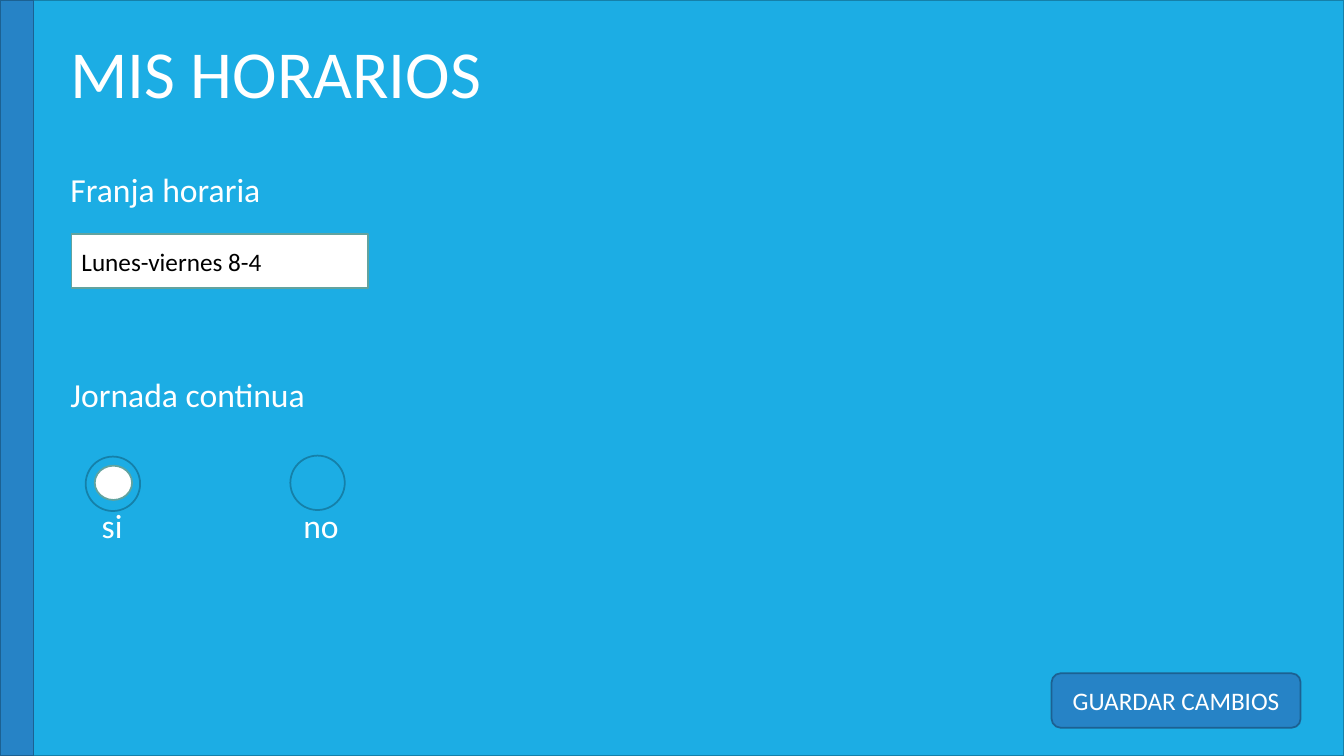
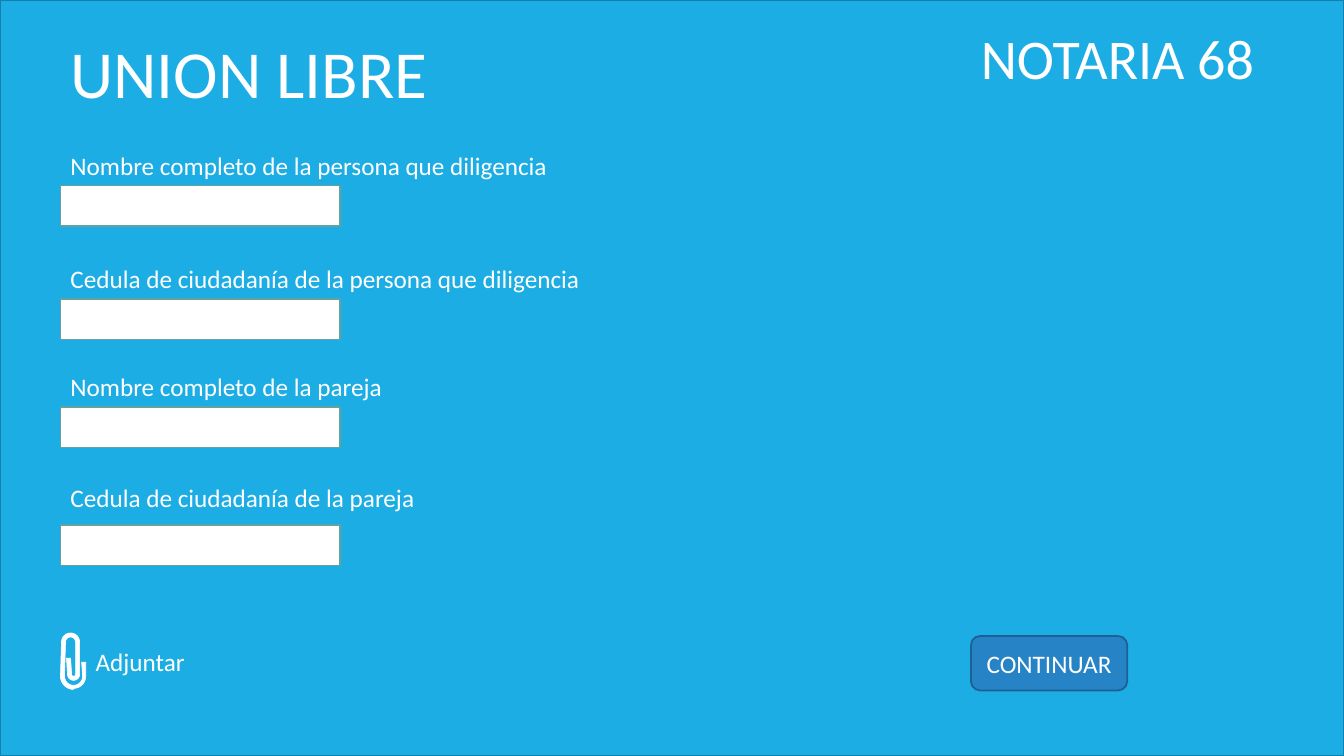
from math import cos, radians, sin
from pptx import Presentation
from pptx.dml.color import RGBColor
from pptx.enum.shapes import MSO_SHAPE
from pptx.enum.text import MSO_ANCHOR, PP_ALIGN
from pptx.util import Inches, Pt

RECT, ROUND, OVAL = MSO_SHAPE.RECTANGLE, MSO_SHAPE.ROUNDED_RECTANGLE, MSO_SHAPE.OVAL
LEFT, CENTER = PP_ALIGN.LEFT, PP_ALIGN.CENTER
TOP, MIDDLE = MSO_ANCHOR.TOP, MSO_ANCHOR.MIDDLE

HOURS = {
    "title": "MIS HORARIOS",
    "slot": ("Franja horaria", "Lunes-viernes 8-4"),
    "shift": "Jornada continua",
    "picks": [("si", 0.85, 4.53, 0.91, 0.41), ("no", 2.88, 4.52, 2.91, 0.64)],
    "save": "GUARDAR CAMBIOS",
}
UNION = {
    "title": "UNION LIBRE ",
    "office": "NOTARIA 68",
    "fields": [
        ("Nombre completo de la persona que diligencia", 1.44, 0.4),
        ("Cedula de ciudadanía de la persona que diligencia", 2.56, 0.41),
        ("Nombre completo de la pareja", 3.63, 0.41),
        ("Cedula de ciudadanía de la pareja", 4.74, 0.47),
    ],
    "attach": "Adjuntar",
    "next": "CONTINUAR",
}
CLIP = [
    ("arc", 0.73, 6.71, 0.13, 90, 180),
    ("arc", 0.7, 6.37, 0.09, 180, 360),
    ("arc", 0.73, 6.69, 0.06, 0, 180),
    ("dot", 0.66, 6.53), ("dot", 0.7, 6.53),
    ("arc", 0.73, 6.69, 0.02, 180, 0),
    ("arc", 0.7, 6.37, 0.05, 0, -180),
    ("arc", 0.73, 6.71, 0.09, 180, 0),
    ("dot", 0.81, 6.57), ("dot", 0.85, 6.57),
    ("arc", 0.73, 6.71, 0.12, 0, 90),
]
HEX = {"sky": "1CADE4", "sea": "1580A9", "blue": "2683C6", "navy": "1C6192",
       "white": "FFFFFF", "sage": "62A39F", "black": "000000"}
EDGE = {"sky": "sea", "blue": "navy", "white": "sage"}
FONT = "Calibri"
WIDE, HIGH = 13.33, 7.5
COL = 0.6
BOX, ROW = 0.54, 0.4
SMALL, MID, LARGE, HUGE = 18, 24, 40, 48


def color(name):
    return RGBColor.from_string(HEX[name])


def paint(shape, fill, line, width=1.25):
    shape.shadow.inherit = False
    shape.fill.solid()
    shape.fill.fore_color.rgb = color(fill)
    shape.line.color.rgb = color(line)
    shape.line.width = Pt(width)


def block(slide, kind, at, fill):
    shape = slide.shapes.add_shape(kind, *map(Inches, at))
    paint(shape, fill, EDGE[fill])
    return shape


def write(slide, text, at=None, shape=None, size=SMALL, ink="white", align=LEFT, anchor=TOP):
    shape = shape or slide.shapes.add_textbox(*map(Inches, at))
    frame = shape.text_frame
    frame.word_wrap = True
    frame.vertical_anchor = anchor
    para = frame.paragraphs[0]
    para.alignment = align
    run = para.add_run()
    run.text = text
    run.font.name = FONT
    run.font.size = Pt(size)
    run.font.color.rgb = color(ink)


def button(slide, text, at):
    shape = block(slide, ROUND, at, "blue")
    write(slide, text, shape=shape, align=CENTER, anchor=MIDDLE)


def page(deck, title, width):
    slide = deck.slides.add_slide(deck.slide_layouts[6])
    block(slide, RECT, (0, 0, WIDE, HIGH), "sky")
    write(slide, title, (COL, 0.26, width, 0.91), size=HUGE)
    return slide


def trace(parts, steps=12):
    for kind, x, y, *arc in parts:
        if kind == "dot":
            yield Inches(x), Inches(y)
            continue
        r, start, end = arc
        for i in range(steps + 1):
            turn = radians(start + (end - start) * i / steps)
            yield Inches(x + r * cos(turn)), Inches(y + r * sin(turn))


def hours(deck):
    slide = page(deck, HOURS["title"], 5.1)
    block(slide, RECT, (0, 0, WIDE / 40, HIGH), "blue")
    label, value = HOURS["slot"]
    field = block(slide, RECT, (0.71, 2.32, 2.94, BOX), "white")
    write(slide, value, shape=field, ink="black", anchor=MIDDLE)
    for text, top in ((label, 1.63), (HOURS["shift"], 3.66)):
        write(slide, text, (COL, top, 3.11, 0.5), size=MID)
    for text, x, y, left, width in HOURS["picks"]:
        block(slide, OVAL, (x, y, BOX, BOX), "sky")
        write(slide, text, (left, 4.96, width, 0.5), size=MID)
    block(slide, OVAL, (0.94, 4.62, 0.37, 0.34), "white")
    button(slide, HOURS["save"], (10.43, 6.68, 2.47, BOX))


def union(deck):
    slide = page(deck, UNION["title"], 5.9)
    right = 9.63
    write(slide, UNION["office"], (right, 0.18, 3.11, 0.77), size=LARGE)
    for text, top, drop in UNION["fields"]:
        write(slide, text, (COL, top, 7.32, ROW))
        block(slide, RECT, (COL, top + drop, 2.77, ROW), "white")
    first, *rest = trace(CLIP)
    pen = slide.shapes.build_freeform(*first, scale=1.0)
    pen.add_line_segments(rest, close=True)
    paint(pen.convert_to_shape(), "white", "white", 0.48)
    write(slide, UNION["attach"], (0.85, 6.36, 7.32, ROW))
    button(slide, UNION["next"], (right, 6.31, 1.55, BOX))


deck = Presentation()
deck.slide_width, deck.slide_height = Inches(WIDE), Inches(HIGH)
hours(deck)
union(deck)
deck.save("out.pptx")
